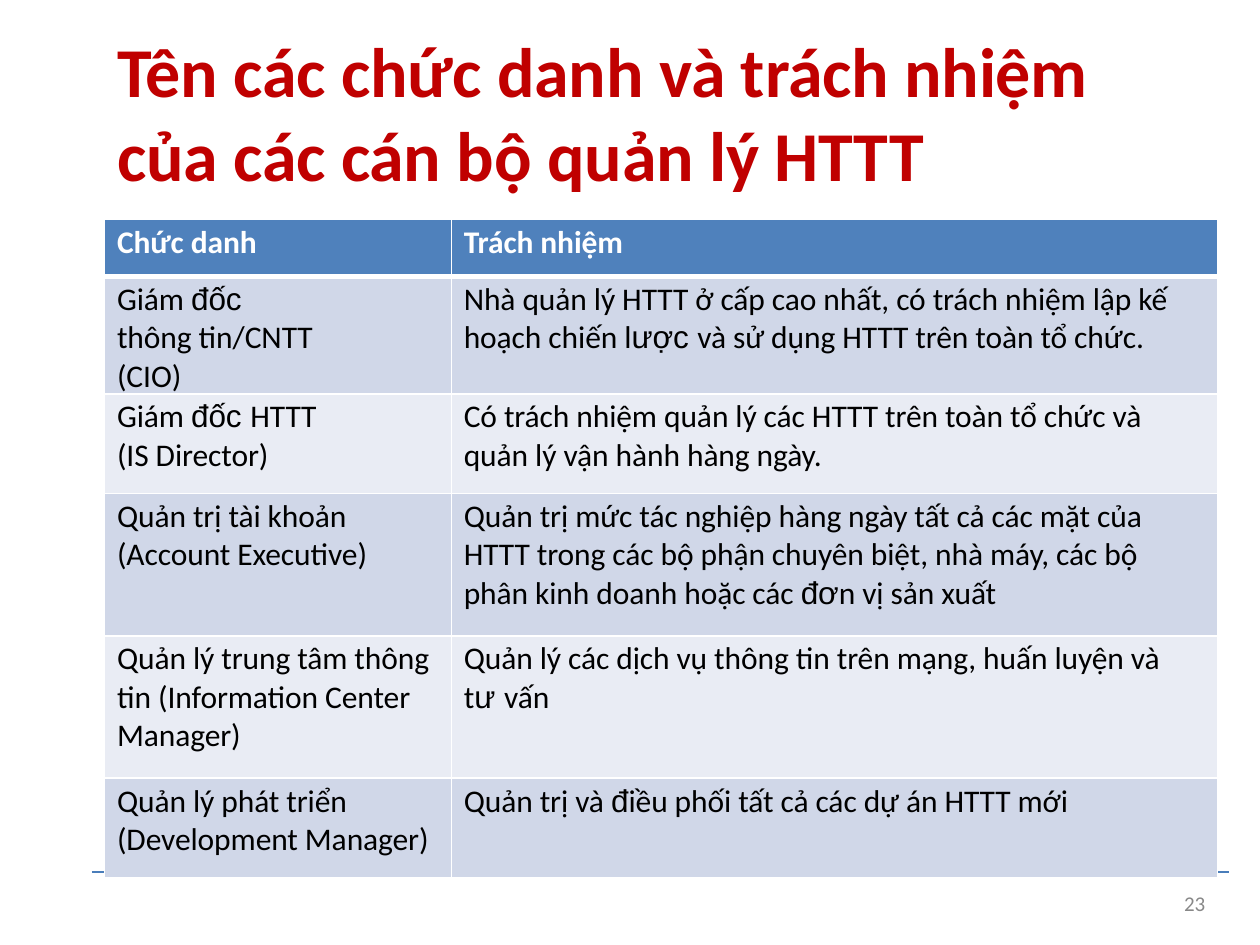
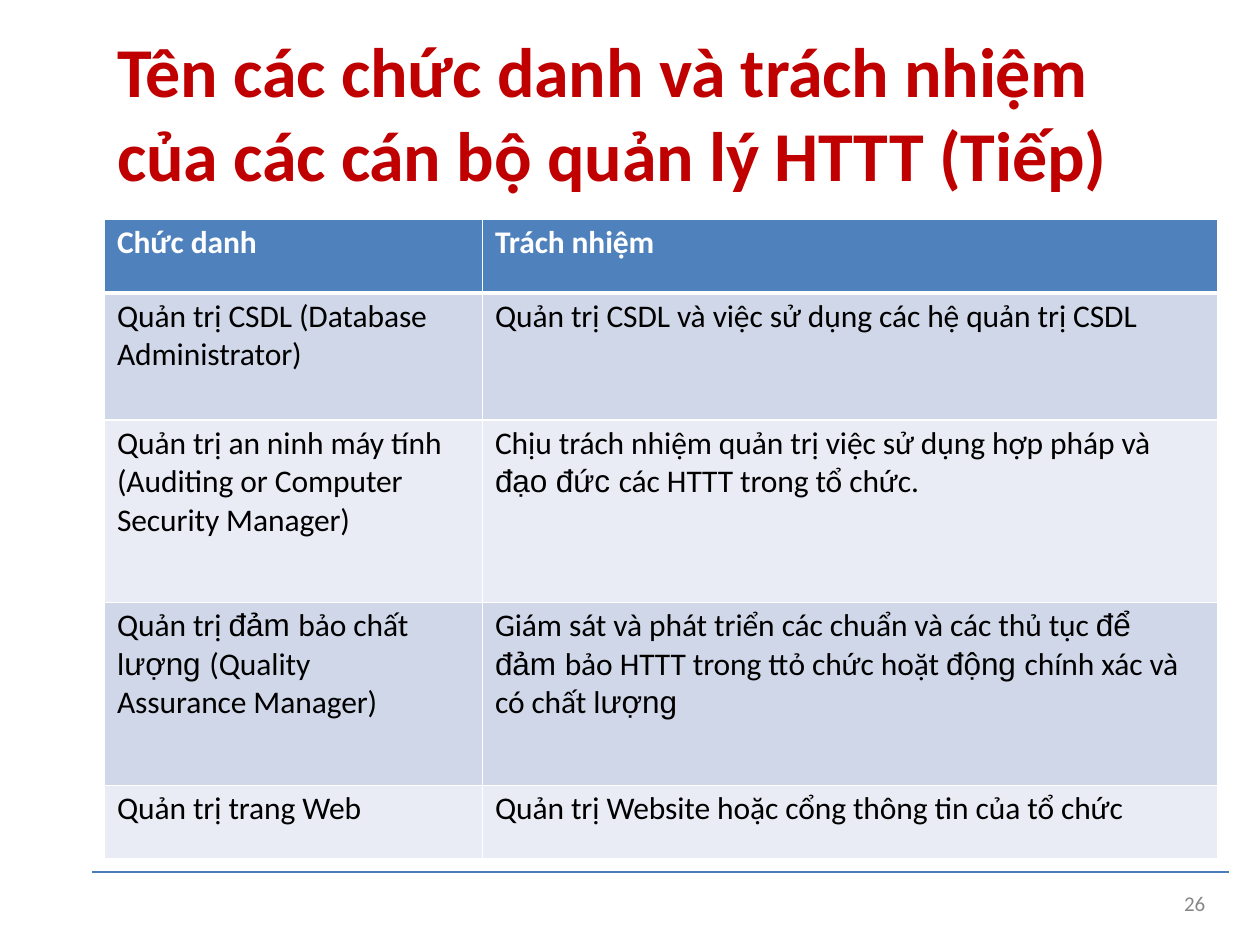
from lxml import etree
from pptx import Presentation
from pptx.dml.color import RGBColor
from pptx.enum.shapes import MSO_CONNECTOR
from pptx.enum.text import MSO_ANCHOR, MSO_AUTO_SIZE, PP_ALIGN
from pptx.oxml.ns import qn
from pptx.util import Cm, Pt

STRAIGHT = MSO_CONNECTOR.STRAIGHT
TOP = MSO_ANCHOR.TOP
LEFT = PP_ALIGN.LEFT
NO_AUTOFIT = MSO_AUTO_SIZE.NONE

RED = "C00000"
BLACK = "000000"
WHITE = "FFFFFF"
GREY = "888888"
RULE_BLUE = "497DBA"
HEADER_BLUE = "4F81BC"
BANDS = ("D0D7E8", "E9ECF4")

BODY_FONT = "Calibri"
ACCENT_FONT = "Arial"

TITLE_BOX = (1.42, 0.53, 22.56, 3.45)
TABLE_BOX = (2.11, 4.42, 22.43)
RULE = (1.85, 17.58, 24.77)
NUMBER_BOX = (23.77, 17.96, 0.69, 0.48)

HEADINGS = ("Chức danh", "Trách nhiệm")

# "|" switches between the body font and the accent font
MANAGERS = [
    HEADINGS,
    ("Giám |đốc|\nthông tin/CNTT\n(CIO)",
     "Nhà quản lý HTTT ở cấp cao nhất, có trách nhiệm lập kế\n"
     "hoạch chiến l|ược |và sử dụng HTTT trên toàn tổ chức."),
    ("Giám |đốc |HTTT\n(IS Director)",
     "Có trách nhiệm quản lý các HTTT trên toàn tổ chức và\n"
     "quản lý vận hành hàng ngày."),
    ("Quản trị tài khoản\n(Account Executive)",
     "Quản trị mức tác nghiệp hàng ngày tất cả các mặt của\n"
     "HTTT trong các bộ phận chuyên biệt, nhà máy, các bộ\n"
     "phân kinh doanh hoặc các |đơ|n vị sản xuất"),
    ("Quản lý trung tâm thông\ntin (Information Center\nManager)",
     "Quản lý các dịch vụ thông tin trên mạng, huấn luyện và\n"
     "t|ư |vấn"),
    ("Quản lý phát triển\n(Development Manager)",
     "Quản trị và |đ|iều phối tất cả các dự án HTTT mới"),
]

ADMINISTRATORS = [
    HEADINGS,
    ("Quản trị CSDL (Database\nAdministrator)",
     "Quản trị CSDL và việc sử dụng các hệ quản trị CSDL"),
    ("Quản trị an ninh máy tính\n(Auditing or Computer\nSecurity Manager)",
     "Chịu trách nhiệm quản trị việc sử dụng hợp pháp và\n"
     "|đạo đức |các HTTT trong tổ chức."),
    ("Quản trị |đảm |bảo chất\nl|ượng |(Quality\nAssurance Manager)",
     "Giám sát và phát triển các chuẩn và các thủ tục |để|\n"
     "|đảm |bảo HTTT trong ttỏ chức hoặt |động |chính xác và\n"
     "có chất l|ượng"),
    ("Quản trị trang Web",
     "Quản trị Website hoặc cổng thông tin của tổ chức"),
]


def rgb(value):
    return RGBColor.from_string(value)


def set_font(run, size, color, bold=False, name=BODY_FONT, tracking=0):
    font = run.font
    font.name = name
    font.size = Pt(size)
    font.bold = bold
    font.color.rgb = rgb(color)
    if tracking:
        run._r.get_or_add_rPr().set("spc", str(tracking))


def set_margins(frame, left=0, top=0):
    frame.margin_left = Cm(left)
    frame.margin_top = Cm(top)
    frame.margin_right = frame.margin_bottom = 0


def write_title(slide, text, box):
    title = slide.shapes.title
    title.left, title.top, title.width, title.height = map(Cm, box)
    frame = title.text_frame
    frame.text = text
    frame.word_wrap = True
    frame.auto_size = NO_AUTOFIT
    frame.vertical_anchor = TOP
    set_margins(frame, left=0.94, top=0.03)
    paragraph = frame.paragraphs[0]
    paragraph.alignment = LEFT
    for run in paragraph.runs:
        set_font(run, 40, RED, bold=True, tracking=-12)


def draw_footer(slide, number):
    left, top, right = map(Cm, RULE)
    rule = slide.shapes.add_connector(STRAIGHT, left, top, right, top)
    rule.line.color.rgb = rgb(RULE_BLUE)
    rule.line.width = Pt(0.75)
    etree.SubElement(rule._element.spPr, qn("a:effectLst"))

    frame = slide.shapes.add_textbox(*map(Cm, NUMBER_BOX)).text_frame
    frame.text = str(number)
    frame.word_wrap = True
    set_margins(frame, left=0.1)
    set_font(frame.paragraphs[0].runs[0], 12, GREY)


def set_borders(cell, top, bottom):
    properties = cell._tc.get_or_add_tcPr()
    for side, points in (("L", 1), ("R", 1), ("T", top), ("B", bottom)):
        border = etree.SubElement(properties, qn(f"a:ln{side}"), w=str(Pt(points)))
        fill = etree.SubElement(border, qn("a:solidFill"))
        etree.SubElement(fill, qn("a:srgbClr"), val=WHITE)


def write_cell(cell, text, color, bold):
    set_margins(cell, left=0.25, top=0.08)
    cell.vertical_anchor = TOP
    paragraph = cell.text_frame.paragraphs[0]
    paragraph.alignment = LEFT
    fonts = (BODY_FONT, ACCENT_FONT)
    switches = 0
    for line_index, line in enumerate(text.split("\n")):
        if line_index:
            paragraph.add_line_break()
        pieces = line.split("|")
        for offset, piece in enumerate(pieces):
            if piece:
                run = paragraph.add_run()
                run.text = piece
                set_font(run, 18, color, bold, fonts[(switches + offset) % 2], -5)
        switches += len(pieces) - 1


def draw_duties(slide, rows, heights, role_width, box):
    left, top, width = box
    table = slide.shapes.add_table(
        len(rows), 2, Cm(left), Cm(top), Cm(width), Cm(sum(heights))).table
    table.horz_banding = False
    table.columns[0].width = Cm(role_width)
    table.columns[1].width = Cm(width - role_width)
    for index, (texts, height) in enumerate(zip(rows, heights)):
        table.rows[index].height = Cm(height)
        header = index == 0
        for column, text in enumerate(texts):
            cell = table.cell(index, column)
            write_cell(cell, text, WHITE if header else BLACK, header)
            set_borders(cell, 3 if index == 1 else 1, 3 if header else 1)
            cell.fill.solid()
            cell.fill.fore_color.rgb = rgb(
                HEADER_BLUE if header else BANDS[(index - 1) % 2])


def build_duties_slide(deck, title, number, rows, heights, role_width):
    slide = deck.slides.add_slide(deck.slide_layouts[5])
    draw_footer(slide, number)
    write_title(slide, title, TITLE_BOX)
    draw_duties(slide, rows, heights, role_width, TABLE_BOX)


def main():
    deck = Presentation()
    deck.slide_width, deck.slide_height = Cm(25.4), Cm(19.05)
    title = "Tên các chức danh và trách nhiệm\vcủa các cán bộ quản lý HTTT"
    build_duties_slide(deck, title, 23, MANAGERS,
                       (1.15, 2.37, 2.01, 2.87, 2.87, 2.01), 6.99)
    build_duties_slide(deck, title + " (Tiếp)", 26, ADMINISTRATORS,
                       (1.49, 2.56, 3.68, 3.68, 1.49), 7.62)
    deck.save("out.pptx")


if __name__ == "__main__":
    main()
